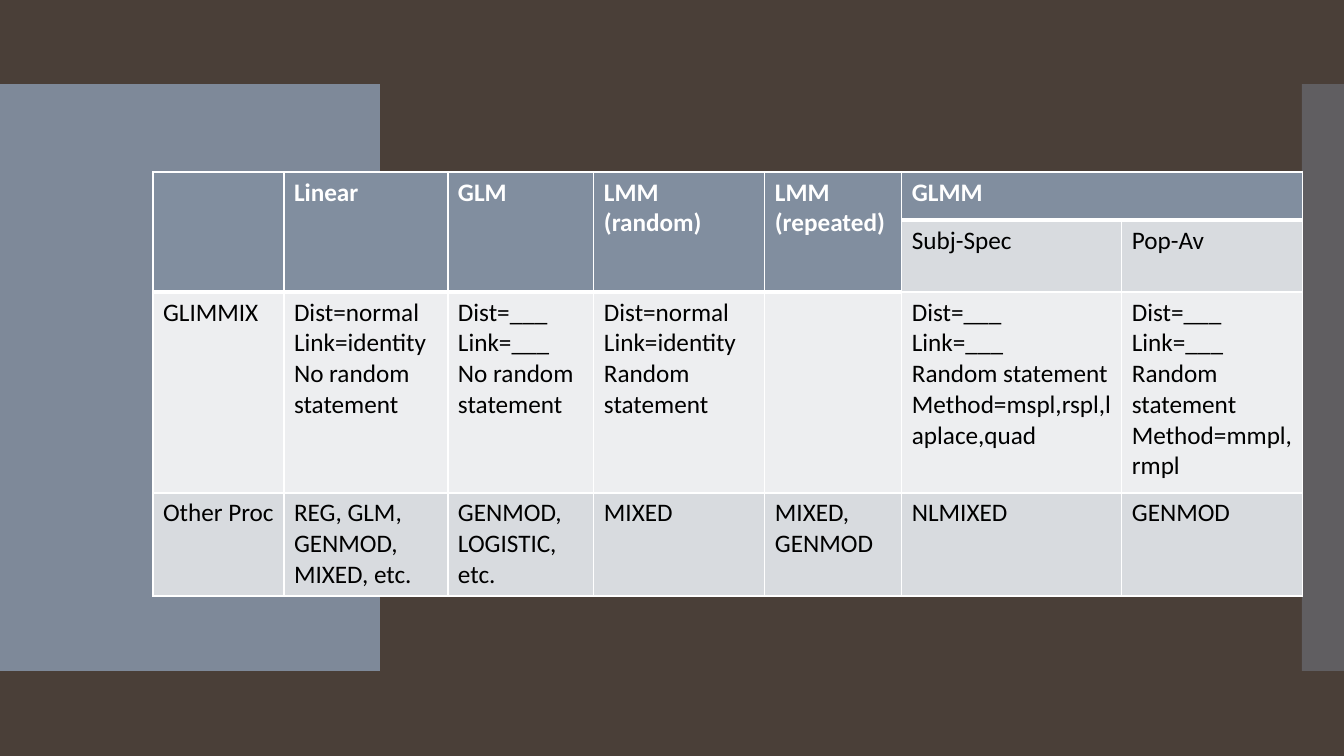
from lxml.etree import SubElement
from pptx import Presentation
from pptx.dml.color import RGBColor
from pptx.enum.shapes import MSO_SHAPE
from pptx.oxml.ns import qn
from pptx.util import Pt

BROWN = RGBColor(0x4A, 0x3F, 0x38)
SLATE = RGBColor(0x81, 0x8E, 0x9F)
MIST = RGBColor(0xD8, 0xDB, 0xDF)
PALE = RGBColor(0xED, 0xEE, 0xF0)
WHITE = RGBColor(0xFF, 0xFF, 0xFF)
BLACK = RGBColor(0, 0, 0)

COLS = [131, 164, 146, 171, 137, 220, 181]
ROWS = [48, 72, 201, 103]
SPANS = [(0, col, 1, col) for col in range(5)] + [(0, 5, 0, 6)]
FILLS = [SLATE, MIST, PALE, MIST]
TEXTS = [
    ["", "Linear", "GLM", "LMM (random)", "LMM (repeated)", "GLMM", ""],
    ["", "", "", "", "", "Subj-Spec", "Pop-Av"],
    ["GLIMMIX",
     "Dist=normal\nLink=identity\nNo random statement",
     "Dist=___\nLink=___\nNo random statement",
     "Dist=normal\nLink=identity\nRandom statement",
     "",
     "Dist=___\nLink=___\nRandom statement\nMethod=mspl,rspl,laplace,quad",
     "Dist=___\nLink=___\nRandom statement\nMethod=mmpl,rmpl"],
    ["Other Proc", "REG, GLM, GENMOD, MIXED, etc.", "GENMOD, LOGISTIC, etc.",
     "MIXED", "MIXED, GENMOD", "NLMIXED", "GENMOD"],
]


class Sketch:
    """Draws styled elements on one slide, with lengths in px."""

    font = "Calibri"
    size = Pt(18)

    def __init__(self, deck, back):
        deck.slide_width, deck.slide_height = self.px(1344), self.px(756)
        self.slide = deck.slides.add_slide(deck.slide_layouts[6])
        fill = self.slide.background.fill
        fill.solid()
        fill.fore_color.rgb = back

    def px(self, count):
        return round(count * 914400 / 100.8)

    def panel(self, left, top, width, height, color, alpha):
        box = [self.px(n) for n in (left, top, width, height)]
        shape = self.slide.shapes.add_shape(MSO_SHAPE.RECTANGLE, *box)
        shape.shadow.inherit = False
        shape.line.fill.background()
        shape.fill.solid()
        shape.fill.fore_color.rgb = color
        tone = shape.fill._xPr.find(qn("a:solidFill"))[0]
        SubElement(tone, qn("a:alpha"), val=str(alpha * 1000))

    def edge(self, cell, side, width):
        line = SubElement(cell._tc.get_or_add_tcPr(), qn("a:ln" + side), w=str(Pt(width)))
        fill = SubElement(line, qn("a:solidFill"))
        SubElement(fill, qn("a:srgbClr"), val=str(WHITE))

    def cell(self, cell, text, color, head, first):
        for side in "LRTB" if first else "LRB":
            self.edge(cell, side, 3 if head and side == "B" else 1)
        cell.fill.solid()
        cell.fill.fore_color.rgb = color
        cell.text_frame.text = text
        for para in cell.text_frame.paragraphs:
            para.font.name, para.font.size = self.font, self.size
            para.font.bold = head
            para.font.color.rgb = WHITE if head else BLACK

    def table(self, left, top, cols, rows, texts, fills, spans):
        box = [self.px(n) for n in (left, top, sum(cols), sum(rows))]
        table = self.slide.shapes.add_table(len(rows), len(cols), *box).table
        table.first_row = table.horz_banding = False
        for col, width in zip(table.columns, cols):
            col.width = self.px(width)
        for row, height in zip(table.rows, rows):
            row.height = self.px(height)
        for y, line in enumerate(texts):
            for x, text in enumerate(line):
                head = any(a <= y <= c and b <= x <= d for a, b, c, d in spans)
                color = fills[0] if head else fills[y]
                self.cell(table.cell(y, x), text, color, head, y == 0)
        for a, b, c, d in spans:
            table.cell(a, b).merge(table.cell(c, d))


def main():
    deck = Presentation()
    sketch = Sketch(deck, BROWN)
    sketch.panel(0, 84, 380, 587, SLATE, 95)
    sketch.panel(1302, 84, 42, 587, SLATE, 40)
    sketch.table(153, 172, COLS, ROWS, TEXTS, FILLS, SPANS)
    deck.save("out.pptx")


if __name__ == "__main__":
    main()
